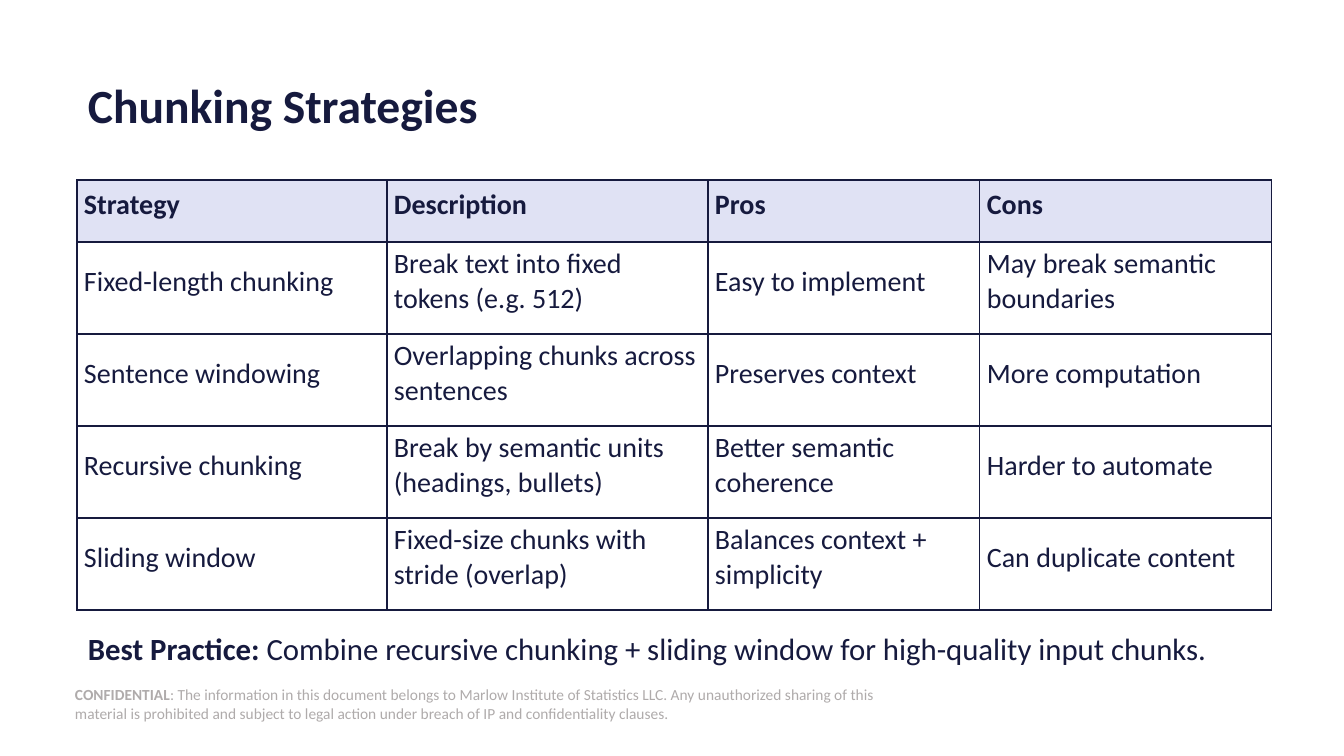
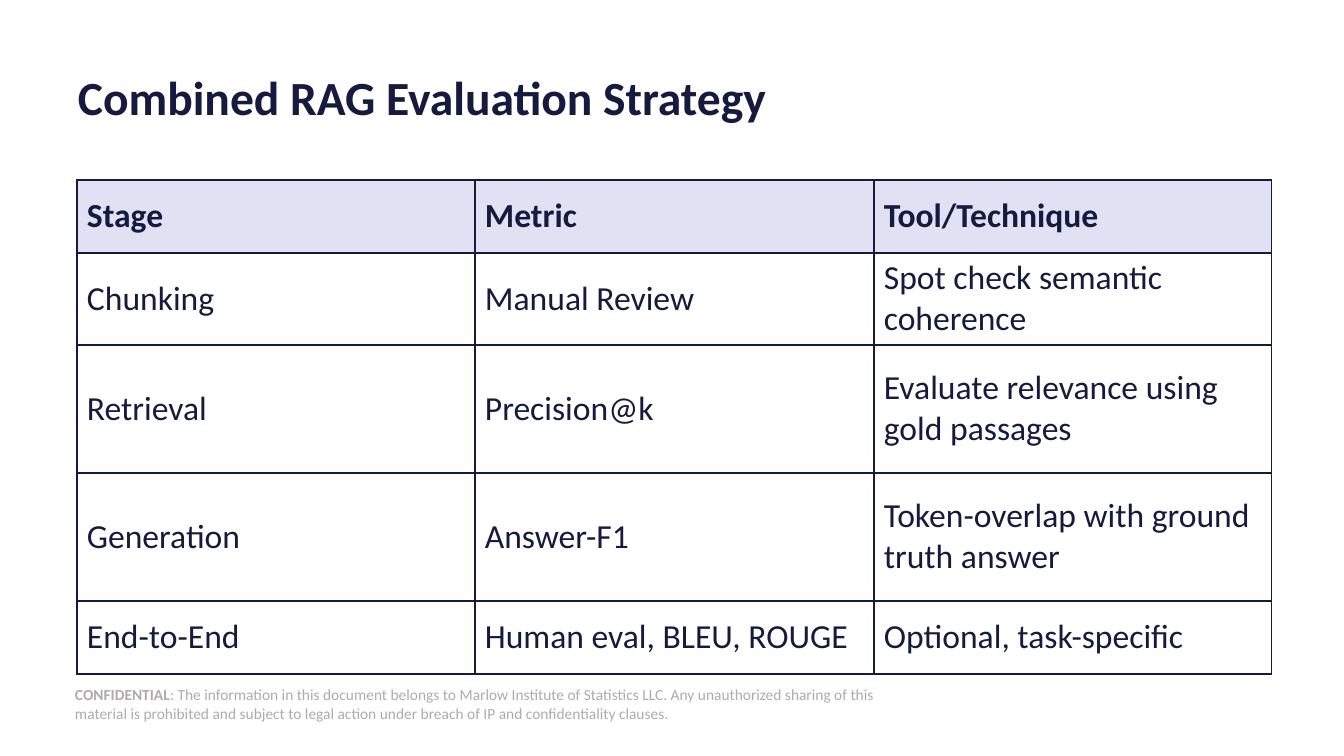
"""Build two slides on chunking strategies and RAG evaluation."""
import pptx
import pptx.dml.color
import pptx.enum.shapes
import pptx.enum.text
import pptx.oxml
import pptx.oxml.ns
import pptx.util

PX = 914400 / 100.8
NAVY, LAVENDER, GREY, WHITE = "161A3E", "E0E2F4", "AFABAB", "FFFFFF"
FONT = "Calibri"
ANCHOR = pptx.enum.text.MSO_ANCHOR
DEFAULT_INSETS = (10, 5, 10, 5)
NO_INSETS = (0, 0, 0, 0)
LEFT, WIDTH = 78, 1193
TABLE_LEFT, TABLE_TOP, TABLE_WIDTH = 77, 180, 1195

FOOTER = [
    ("CONFIDENTIAL", True),
    (": The information in this document belongs to Marlow Institute of Statistics LLC. "
     "Any unauthorized sharing of this material is prohibited and subject to legal action "
     "under breach of IP and confidentiality clauses.", False),
]

SLIDES = [
    {
        "title": "Chunking Strategies",
        "title_format": {"anchor": ANCHOR.BOTTOM},
        "columns": [310, 321, 272, 292],
        "heights": [62, 92, 92, 92, 92],
        "cell_format": {"size": 20, "insets": (7, 2, 10, 15)},
        "rows": [
            ["Strategy", "Description", "Pros", "Cons"],
            ["Fixed-length chunking", "Break text into fixed tokens (e.g. 512)",
             "Easy to implement", "May break semantic boundaries"],
            ["Sentence windowing", "Overlapping chunks across sentences",
             "Preserves context", "More computation"],
            ["Recursive chunking", "Break by semantic units (headings, bullets)",
             "Better semantic coherence", "Harder to automate"],
            ["Sliding window", "Fixed-size chunks with stride (overlap)",
             "Balances context + simplicity", "Can duplicate content"],
        ],
        "takeaway": [
            ("Best Practice:", True),
            (" Combine recursive chunking + sliding window for high-quality input chunks.", False),
        ],
    },
    {
        "title": "Combined RAG Evaluation Strategy",
        "title_format": {"anchor": ANCHOR.MIDDLE, "insets": NO_INSETS},
        "columns": [398, 399, 398],
        "heights": [73, 92, 128, 128, 73],
        "cell_format": {"size": 24},
        "rows": [
            ["Stage", "Metric", "Tool/Technique"],
            ["Chunking", "Manual Review", "Spot check semantic coherence"],
            ["Retrieval", "Precision@k", "Evaluate relevance using gold passages"],
            ["Generation", "Answer-F1", "Token-overlap with ground truth answer"],
            ["End-to-End", "Human eval, BLEU, ROUGE", "Optional, task-specific"],
        ],
        "takeaway": None,
    },
]


def box(*lengths):
    """Turn pixel lengths into EMU."""
    return [pptx.util.Emu(round(length * PX)) for length in lengths]


def write(holder, runs, size, color=NAVY, anchor=ANCHOR.MIDDLE, insets=DEFAULT_INSETS,
          line_spacing=None):
    """Fill a cell or shape with one left-aligned paragraph of (text, bold) runs."""
    frame = holder.text_frame
    frame.word_wrap = True
    holder.vertical_anchor = frame.vertical_anchor = anchor
    sides = ("margin_left", "margin_top", "margin_right", "margin_bottom")
    target = holder if hasattr(holder, "margin_left") else frame
    for side, inset in zip(sides, box(*insets)):
        setattr(target, side, inset)
    paragraph = frame.paragraphs[0]
    paragraph.alignment = pptx.enum.text.PP_ALIGN.LEFT
    paragraph.line_spacing = line_spacing
    for text, bold in runs:
        run = paragraph.add_run()
        run.text = text
        run.font.name = FONT
        run.font.size = pptx.util.Pt(size)
        run.font.bold = bold
        run.font.color.rgb = pptx.dml.color.RGBColor.from_string(color)


presentation = pptx.Presentation()
presentation.slide_width, presentation.slide_height = box(1344, 756)
title_only = presentation.slide_layouts[5]

for content in SLIDES:
    slide = presentation.slides.add_slide(title_only)

    footer = slide.shapes.add_shape(
        pptx.enum.shapes.MSO_SHAPE.RECTANGLE, *box(75, 684, 823, 40))
    footer.shadow.inherit = False
    footer.fill.solid()
    footer.fill.fore_color.rgb = pptx.dml.color.RGBColor.from_string(WHITE)
    footer.line.fill.background()
    write(footer, FOOTER, size=11, color=GREY, insets=NO_INSETS)

    title = slide.shapes.title
    title.left, title.top, title.width, title.height = box(LEFT, 61, WIDTH, 78)
    title.text_frame.auto_size = pptx.enum.text.MSO_AUTO_SIZE.NONE
    write(title, [(content["title"], True)], size=34, line_spacing=0.9,
          **content["title_format"])

    rows, columns, heights = content["rows"], content["columns"], content["heights"]
    table = slide.shapes.add_table(
        len(rows), len(columns),
        *box(TABLE_LEFT, TABLE_TOP, TABLE_WIDTH, sum(heights))).table
    for column, width in zip(table.columns, box(*columns)):
        column.width = width
    for row, height in zip(table.rows, box(*heights)):
        row.height = height
    for row_index, texts in enumerate(rows):
        is_header = row_index == 0
        for column_index, text in enumerate(texts):
            cell = table.cell(row_index, column_index)
            write(cell, [(text, is_header)], **content["cell_format"])
            properties = cell._tc.get_or_add_tcPr()
            for edge in ("lnL", "lnR", "lnT", "lnB"):
                properties.append(pptx.oxml.parse_xml(
                    f'<a:{edge} {pptx.oxml.ns.nsdecls("a")} w="12700"><a:solidFill>'
                    f'<a:srgbClr val="{NAVY}"/></a:solidFill></a:{edge}>'))
            if is_header:
                cell.fill.solid()
                cell.fill.fore_color.rgb = pptx.dml.color.RGBColor.from_string(LAVENDER)
            else:
                cell.fill.background()

    if content["takeaway"]:
        takeaway = slide.shapes.add_textbox(*box(LEFT, 625, WIDTH, 47))
        write(takeaway, content["takeaway"], size=22, anchor=ANCHOR.TOP)

presentation.save("out.pptx")
